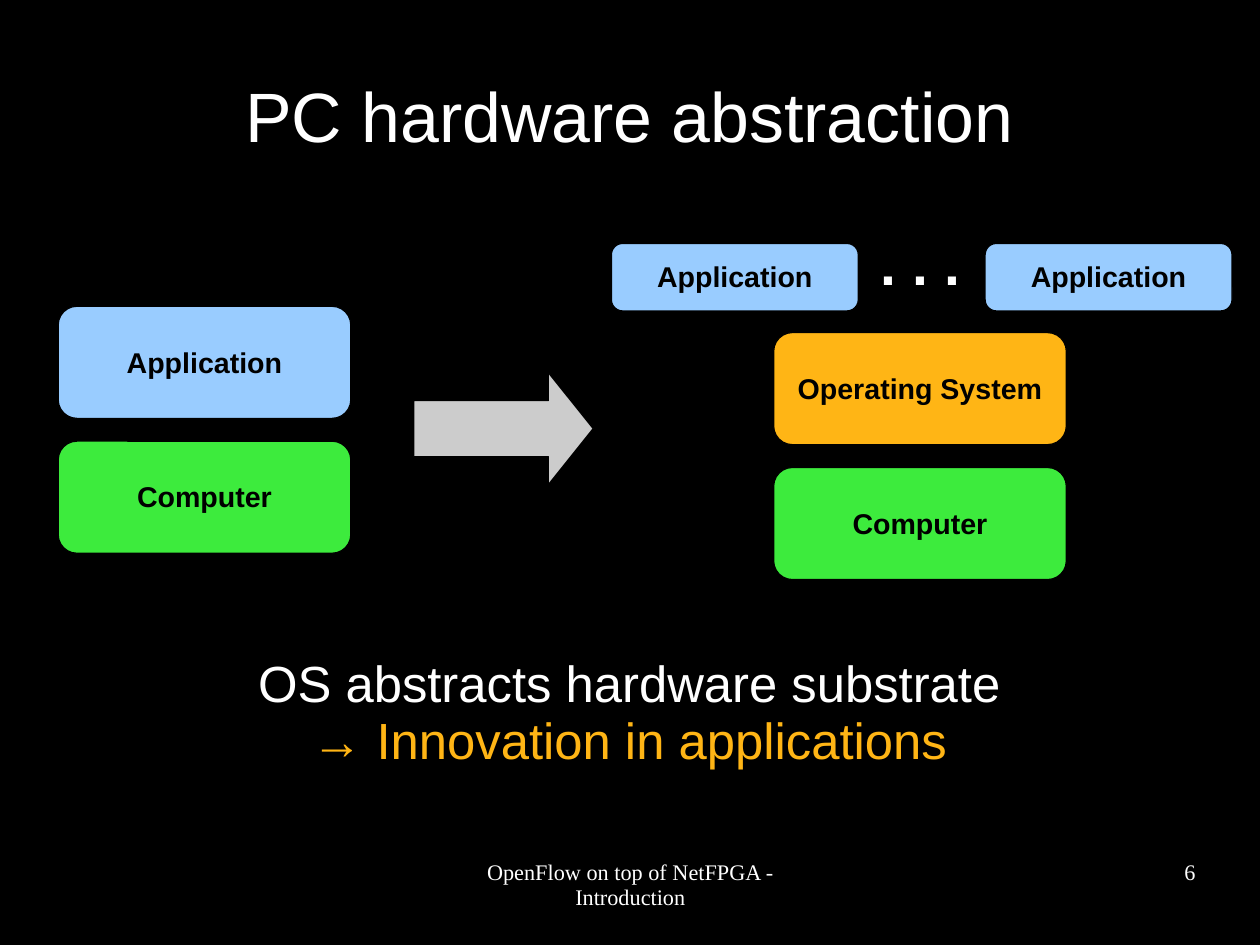
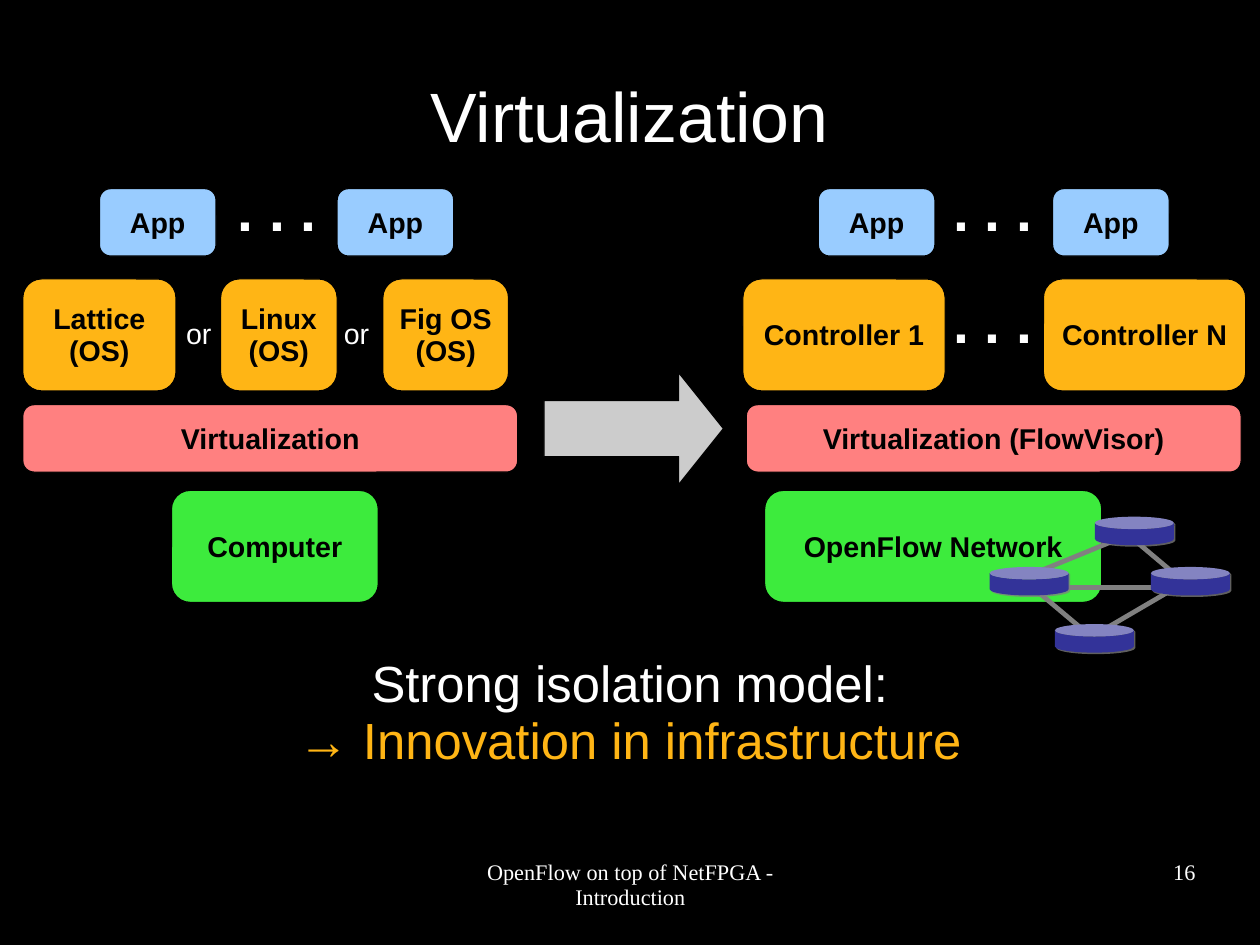
import lxml.etree
import pptx
import pptx.dml.color
import pptx.enum.shapes
import pptx.enum.text
import pptx.oxml.ns
import pptx.util

Inches = pptx.util.Inches
Pt = pptx.util.Pt
SHAPE = pptx.enum.shapes.MSO_SHAPE
ALIGN = pptx.enum.text.PP_ALIGN
ANCHOR = pptx.enum.text.MSO_ANCHOR
qn = pptx.oxml.ns.qn

BLACK, WHITE, GREY, SILVER = "000000", "FFFFFF", "808080", "CCCCCC"
BLUE, GREEN, ORANGE, PINK, NAVY = "99CCFF", "3DEB3D", "FFB515", "FF8080", "333399"
SANS, SERIF = "Arial", "Times New Roman"
FOOTER = "OpenFlow on top of NetFPGA - Introduction"
TALL, LOW = 0.98, 0.59  # heights of the two kinds of box


def color(code):
    return pptx.dml.color.RGBColor.from_string(code)


def place(*sizes):
    return [Inches(size) for size in sizes]


def effects(item):
    """Give the item an empty effect list, which turns its shadow off."""
    return lxml.etree.SubElement(item._element.spPr, qn("a:effectLst"))


def write(shape, text, size, codes, align=ALIGN.CENTER, anchor=ANCHOR.TOP,
          font=SANS, bold=False, wrap=True, pads=(0, 0, 0, 0)):
    """Fill a shape with text; codes holds one colour, or one per paragraph."""
    frame = shape.text_frame
    frame.text = text
    frame.word_wrap = wrap
    frame.vertical_anchor = anchor
    (frame.margin_left, frame.margin_top,
     frame.margin_right, frame.margin_bottom) = place(*pads)
    for index, par in enumerate(frame.paragraphs):
        par.alignment = align
        par.line_spacing = 0.93
        for run in par.runs:
            run.font.name = font
            run.font.size = Pt(size)
            run.font.bold = bold
            run.font.color.rgb = color(codes[index % len(codes)])


class Deck:
    def __init__(self):
        self.show = pptx.Presentation()
        self.show.slide_width, self.show.slide_height = Pt(793.75), Pt(595.25)
        self.slide = None

    def start(self, title, number):
        """Add a slide with its background, footer, number and title."""
        self.slide = self.show.slides.add_slide(self.show.slide_layouts[6])
        fill = self.slide.background.fill
        fill.solid()
        fill.fore_color.rgb = color(BLACK)
        self.label(3.77, 7.53, 3.49, 0.56, FOOTER, 14, font=SERIF)
        self.label(7.9, 7.53, 2.56, 0.56, str(number), 14, font=SERIF,
                   align=ALIGN.RIGHT)
        self.label(0.55, 0.38, 9.92, 1.28, title, 44,
                   anchor=ANCHOR.MIDDLE, pads=(0, 0.04, 0, 0))

    def label(self, x, y, w, h, text, size, codes=(WHITE,), **style):
        box = self.slide.shapes.add_textbox(*place(x, y, w, h))
        write(box, text, size, codes, **style)

    def lead(self, x, w, first, second):
        self.label(x, 5.12, w, 2.22, f"{first}\n→ {second}", 32,
                   (WHITE, ORANGE), anchor=ANCHOR.MIDDLE, pads=(0, 0.03, 0, 0))

    def solid(self, kind, x, y, w, h, fill, adjust):
        shape = self.slide.shapes.add_shape(kind, *place(x, y, w, h))
        shape.shadow.inherit = False
        for index, value in enumerate(adjust):
            shape.adjustments[index] = value
        shape.fill.solid()
        shape.fill.fore_color.rgb = color(fill)
        shape.line.color.rgb = color(BLACK)
        shape.line.width = Pt(0.75)
        return shape

    def box(self, x, y, w, h, text, fill):
        shape = self.solid(SHAPE.ROUNDED_RECTANGLE, x, y, w, h, fill, [0.167])
        write(shape, text, 18, (BLACK,), anchor=ANCHOR.MIDDLE, bold=True,
              wrap=False, pads=(0.1, 0.07, 0.1, 0.05))

    def arrow(self, x):
        self.solid(SHAPE.RIGHT_ARROW, x, 3.26, 1.57, TALL, SILVER, [0.5, 0.4])

    def dots(self, x, y):
        self.label(x, y, 0.89, 0.67, ". . .", 36, align=ALIGN.LEFT, bold=True,
                   pads=(0.1, 0.08, 0, 0.05))

    def either(self, x):
        self.label(x, 2.72, 0.59, 0.38, "or", 18, align=ALIGN.LEFT,
                   pads=(0.1, 0.07, 0.1, 0.05))

    def network(self, links, nodes):
        """Group the links and, in front of them, the switches."""
        group = self.slide.shapes.add_group_shape()
        for ends in links:
            link = group.shapes.add_connector(
                pptx.enum.shapes.MSO_CONNECTOR.STRAIGHT, *place(*ends))
            link.line.color.rgb = color(GREY)
            link.line.width = Pt(3)
            effects(link)
        for x, y in nodes:
            can = group.shapes.add_shape(SHAPE.CAN, *place(x, y, 0.69, 0.25))
            can.adjustments[0] = 0.436
            can.fill.solid()
            can.fill.fore_color.rgb = color(NAVY)
            can.line.fill.background()
            shade = lxml.etree.SubElement(
                effects(can), qn("a:outerShdw"), blurRad="0",
                dist=str(Pt(1.4)), dir="2700000", algn="tl", rotWithShape="0")
            tint = lxml.etree.SubElement(shade, qn("a:srgbClr"), val=GREY)
            lxml.etree.SubElement(tint, qn("a:alpha"), val="75000")


def hardware(deck):
    deck.start("PC hardware abstraction", 6)
    deck.lead(0.55, 9.92, "OS abstracts hardware substrate",
              "Innovation in applications")
    stacks = [(0.51, 3.86, "Application", BLUE),
              (6.77, 4.09, "Operating System", ORANGE)]
    for x, y, upper, fill in stacks:
        deck.box(x, y, 2.56, TALL, "Computer", GREEN)
        deck.box(x, y - 1.18, 2.56, TALL, upper, fill)
    deck.arrow(3.62)
    for x in (5.35, 8.62):
        deck.box(x, 2.13, 2.16, LOW, "Application", BLUE)
    deck.dots(7.61, 1.97)


def virtual(deck):
    deck.start("Virtualization", 16)
    deck.lead(0.2, 10.63, "Strong isolation model:",
              "Innovation in infrastructure")
    deck.arrow(4.76)
    for x in (0.87, 2.95, 7.16, 9.21):
        deck.box(x, 1.65, 1.02, LOW, "App", BLUE)
    systems = [(0.2, 1.34, "Lattice\n(OS)"), (1.93, 1.02, "Linux\n(OS)"),
               (3.35, 1.1, "Fig OS\n(OS)"), (6.5, 1.77, "Controller 1"),
               (9.13, 1.77, "Controller N")]
    for x, w, text in systems:
        deck.box(x, 2.44, w, TALL, text, ORANGE)
    for x, y in ((1.98, 1.5), (8.24, 1.5), (8.24, 2.48)):
        deck.dots(x, y)
    for x in (1.53, 2.91):
        deck.either(x)
    for x, text in ((0.2, "Virtualization"), (6.53, "Virtualization (FlowVisor)")):
        deck.box(x, 3.54, 4.33, LOW, text, PINK)
    for x, w, text in ((1.5, 1.81, "Computer"), (6.69, 2.95, "OpenFlow Network")):
        deck.box(x, 4.29, w, TALL, text, GREEN)
    deck.network(
        links=[(9.04, 5.02, 9.92, 4.66), (9, 5.11, 9.5, 5.53),
               (9.69, 5.49, 10.34, 5.11), (9.92, 4.72, 10.3, 5.04),
               (9.19, 5.14, 10.15, 5.14)],
        nodes=[(8.66, 4.96), (9.58, 4.52), (10.07, 4.96), (9.23, 5.46)])


def main():
    deck = Deck()
    hardware(deck)
    virtual(deck)
    deck.show.save("out.pptx")


if __name__ == "__main__":
    main()
